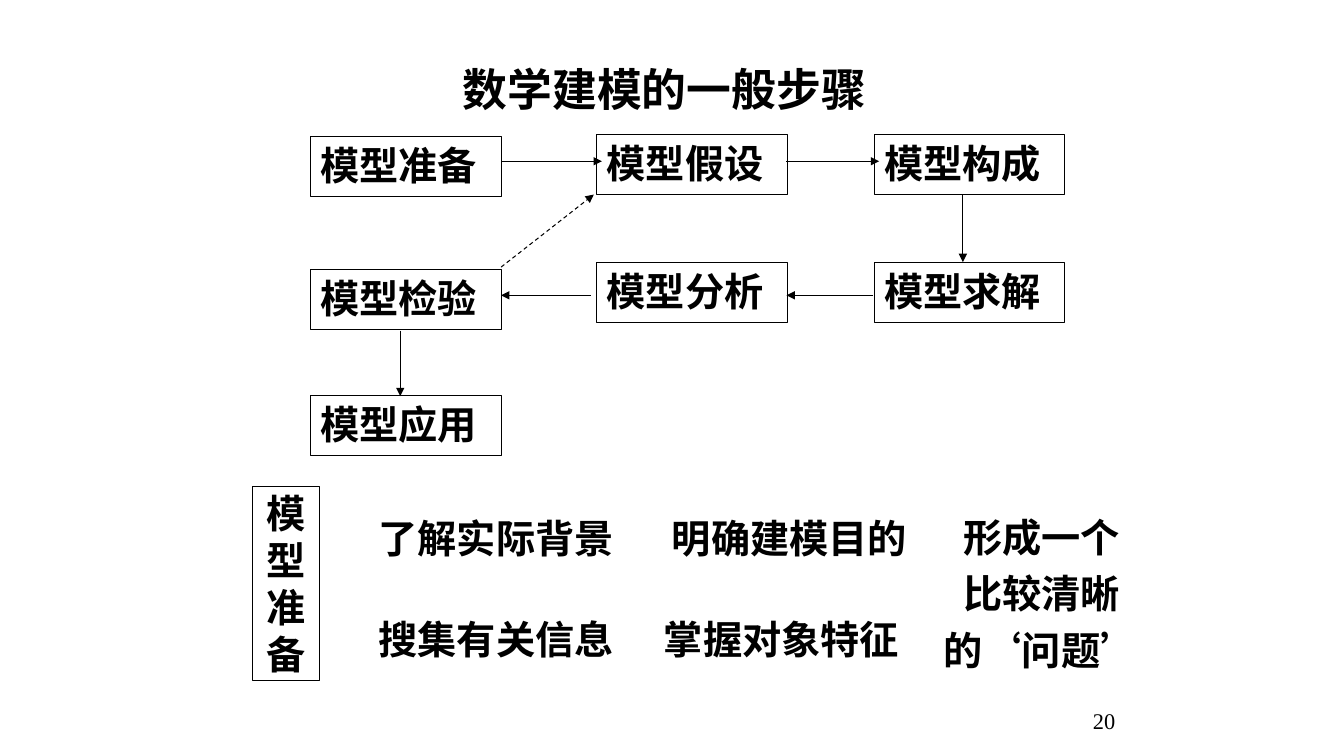
from dataclasses import dataclass

from lxml.etree import SubElement
from pptx import Presentation
from pptx.dml.color import RGBColor
from pptx.enum.dml import MSO_LINE_DASH_STYLE as Dash
from pptx.enum.shapes import MSO_CONNECTOR as Connector, MSO_SHAPE as Preset
from pptx.enum.text import MSO_ANCHOR as Anchor, PP_ALIGN as Align
from pptx.oxml.ns import qn
from pptx.util import Inches, Pt

COLOURS = {"ink": "000000"}
INK = RGBColor.from_string(COLOURS["ink"])
SANS = "Noto Sans CJK SC"
SERIF = "Times New Roman"
LEFT, MIDDLE, RIGHT = 3.08, 5.92, 8.67


@dataclass
class Style:
    size: int = 28
    font: str = SERIF
    bold: bool = True
    align: Align = Align.CENTER
    anchor: Anchor = Anchor.MIDDLE
    wrap: bool = False
    spacing: float = 1.0
    inset: float = 0.1


@dataclass
class Block:
    text: str
    left: float
    top: float
    width: float
    height: float
    style: Style


@dataclass
class Arrow:
    start: tuple[float, float]
    end: tuple[float, float]
    dashed: bool = False


STEP = Style(align=Align.JUSTIFY, anchor=Anchor.TOP, wrap=True)
STAGE = Style()
TASK = Style(font=SANS, inset=0)
GOAL = Style(spacing=1.2, inset=0)
NUMBER = Style(16, bold=False, align=Align.RIGHT, anchor=Anchor.BOTTOM, wrap=True)

TITLE = Block(" 数学建模的一般步骤", 4, 0.5, 5.08, 0.75, Style(32, SANS))

STEPS = [
    Block(text, left, top, 1.89, 0.6, STEP)
    for text, left, top in [
        ("模型准备", LEFT, 1.35),
        ("模型假设", MIDDLE, 1.33),
        ("模型构成", RIGHT, 1.33),
        ("模型求解", RIGHT, 2.6),
        ("模型分析", MIDDLE, 2.6),
        ("模型检验", LEFT, 2.67),
        ("模型应用", LEFT, 3.92),
    ]
]
FRAMES = STEPS + [Block("模\n型\n准\n备", 2.5, 4.83, 0.67, 1.92, STAGE)]

LABELS = [
    Block(text, left, top, 2.5, 0.67, TASK)
    for text, left, top in [
        ("了解实际背景", 3.67, 5),
        ("明确建模目的", 6.58, 5),
        ("搜集有关信息", 3.67, 6),
        ("掌握对象特征", 6.5, 6),
    ]
] + [
    Block("形成一个\n比较清晰\n的‘问题’", 9.33, 4.92, 2, 1.83, GOAL),
    Block("20", 10.05, 6.83, 1.11, 0.5, NUMBER),
]

ARROWS = [
    Arrow((4.97, 1.6), (5.97, 1.6)),
    Arrow((7.8, 1.6), (8.72, 1.6)),
    Arrow((9.55, 1.93), (9.55, 2.6)),
    Arrow((8.66, 2.93), (7.8, 2.93)),
    Arrow((5.86, 2.93), (4.97, 2.93)),
    Arrow((3.97, 3.28), (3.97, 3.93)),
    Arrow((4.97, 2.65), (5.89, 1.93), dashed=True),
]


def bounds(block: Block) -> list[Inches]:
    return [Inches(value) for value in (block.left, block.top, block.width, block.height)]


def write(shape, block: Block) -> None:
    style = block.style
    frame = shape.text_frame
    frame.text = block.text
    frame.word_wrap = style.wrap
    frame.vertical_anchor = style.anchor
    frame.margin_left = frame.margin_right = Inches(style.inset)
    for para in frame.paragraphs:
        para.alignment = style.align
        para.line_spacing = style.spacing
        font = para.font
        font.size = Pt(style.size)
        font.bold = style.bold
        font.name = style.font
        font.color.rgb = INK
        defaults = para._p.pPr.find(qn("a:defRPr"))
        SubElement(defaults, qn("a:ea"), typeface=SANS)


def draw_title(page, block: Block) -> None:
    title = page.shapes.title
    title.left, title.top, title.width, title.height = bounds(block)
    write(title, block)


def draw_frame(page, block: Block) -> None:
    box = page.shapes.add_shape(Preset.RECTANGLE, *bounds(block))
    box.shadow.inherit = False
    box.fill.background()
    box.line.color.rgb = INK
    box.line.width = Pt(0.75)
    write(box, block)


def draw_label(page, block: Block) -> None:
    write(page.shapes.add_textbox(*bounds(block)), block)


def draw_arrow(page, arrow: Arrow) -> None:
    ends = [Inches(value) for value in (*arrow.start, *arrow.end)]
    connector = page.shapes.add_connector(Connector.STRAIGHT, *ends)
    line = connector.line
    line.color.rgb = INK
    line.width = Pt(0.75)
    if arrow.dashed:
        line.dash_style = Dash.DASH
    properties = connector._element.spPr
    SubElement(properties.find(qn("a:ln")), qn("a:tailEnd"), type="triangle")
    SubElement(properties, qn("a:effectLst"))


def main() -> None:
    deck = Presentation()
    deck.slide_width, deck.slide_height = Inches(13.33), Inches(7.5)
    page = deck.slides.add_slide(deck.slide_layouts.get_by_name("Title Only"))
    draw_title(page, TITLE)
    for block in FRAMES:
        draw_frame(page, block)
    for arrow in ARROWS:
        draw_arrow(page, arrow)
    for block in LABELS:
        draw_label(page, block)
    deck.save("out.pptx")


if __name__ == "__main__":
    main()
